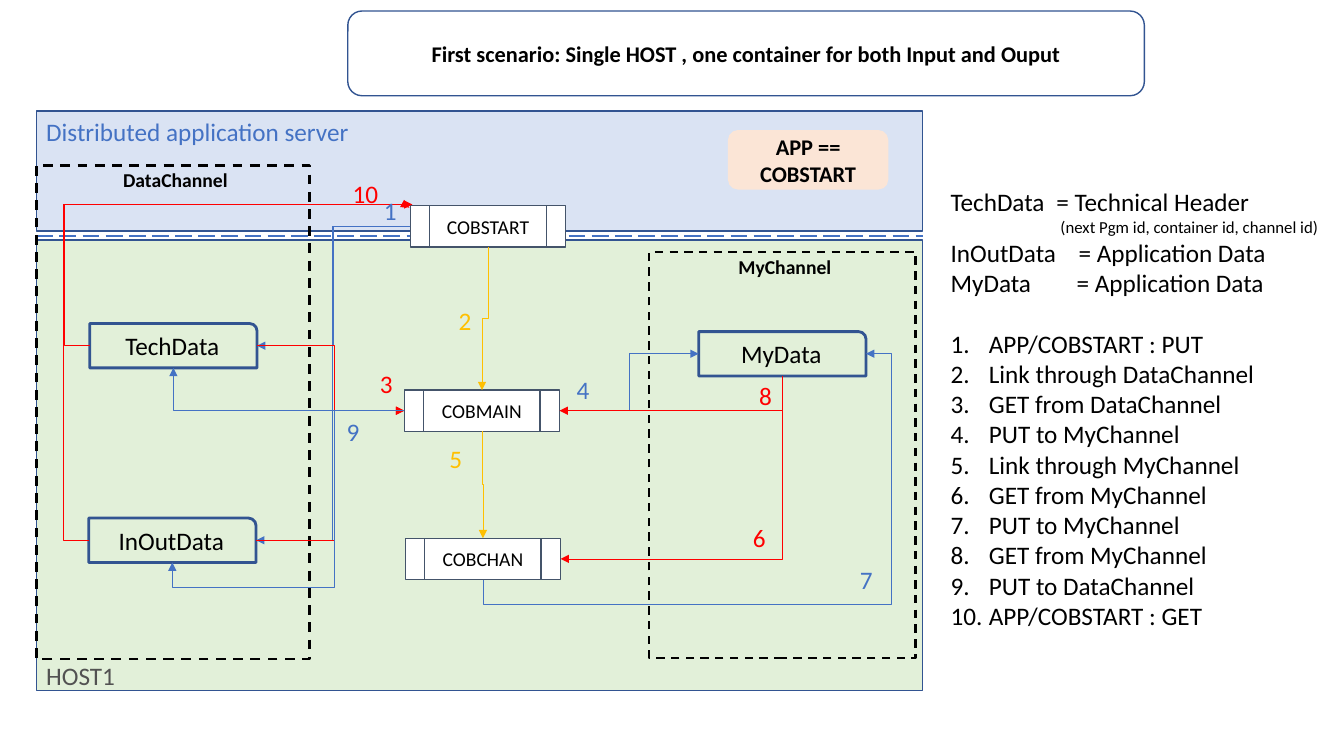
from lxml.etree import SubElement
from pptx import Presentation
from pptx.dml.color import RGBColor
from pptx.enum.dml import MSO_LINE
from pptx.enum.shapes import MSO_CONNECTOR, MSO_SHAPE
from pptx.enum.text import MSO_ANCHOR, PP_ALIGN
from pptx.oxml.ns import qn
from pptx.util import Pt

EMU_PER_PX = 9144
BLUE, RED, GOLD = "4472C4", "FF0000", "FFC000"
NAVY, SLATE, BLACK = "325491", "44546A", "000000"
TOP, LEFT, BOTTOM, RIGHT = range(4)


def px(length):
    return round(length * EMU_PER_PX)


def color(value):
    return RGBColor.from_string(value)


def add_span(para, text, size, ink=BLACK, bold=False):
    span = para.add_run()
    span.text = text
    span.font.name = "Calibri"
    span.font.size = Pt(size)
    span.font.bold = bold
    span.font.color.rgb = color(ink)


def add_panel(page, kind, box, fill=None, line=None, width=1, dash=None):
    panel = page.shapes.add_shape(kind, *map(px, box))
    panel.shadow.inherit = False
    if fill:
        panel.fill.solid()
        panel.fill.fore_color.rgb = color(fill)
    else:
        panel.fill.background()
    if line:
        panel.line.color.rgb = color(line)
        panel.line.width = Pt(width)
        panel.line.dash_style = dash
    else:
        panel.line.fill.background()
    return panel


def write(panel, lines, size, ink=BLACK, bold=False,
          align=PP_ALIGN.CENTER, anchor=MSO_ANCHOR.MIDDLE):
    frame = panel.text_frame
    frame.word_wrap = True
    frame.vertical_anchor = anchor
    for index, text in enumerate(lines):
        para = frame.add_paragraph() if index else frame.paragraphs[0]
        para.alignment = align
        add_span(para, text, size, ink, bold)


def draw_title(page, box):
    title = add_panel(page, MSO_SHAPE.ROUNDED_RECTANGLE, box, line=NAVY)
    write(title, ["First scenario: Single HOST , one container for both Input and Ouput"],
          16, bold=True)


def draw_zones(page, box):
    x, y, w, h = box
    host = add_panel(page, MSO_SHAPE.RECTANGLE, (x, y + 128, w, h - 128), "E2F0D9", NAVY)
    host.text_frame.margin_bottom = 0
    write(host, ["HOST1"], 18, "525252", align=PP_ALIGN.LEFT, anchor=MSO_ANCHOR.BOTTOM)
    server = add_panel(page, MSO_SHAPE.RECTANGLE, (x, y, w, 119), "DAE3F3", NAVY)
    write(server, ["Distributed application server"], 18, BLUE,
          align=PP_ALIGN.LEFT, anchor=MSO_ANCHOR.TOP)
    badge = add_panel(page, MSO_SHAPE.ROUNDED_RECTANGLE, (x + 686, y + 19, 159, 59), "FBE5D6")
    write(badge, ["APP ==", "COBSTART"], 16, bold=True)
    border = add_link(page, MSO_CONNECTOR.STRAIGHT, (x, y + 124), (x + w, y + 124), BLUE, 1.5)
    border.line.dash_style = MSO_LINE.LONG_DASH


def draw_channel(page, box, name, width, containers):
    x, y, w, h = box
    channel = add_panel(page, MSO_SHAPE.RECTANGLE, box, line=BLACK, width=width,
                        dash=MSO_LINE.DASH)
    frame = channel.text_frame
    frame.margin_left, frame.margin_top = px(5), px(3)
    frame.margin_right, frame.margin_bottom = 0, px(4)
    write(channel, [name], 14, bold=True, anchor=MSO_ANCHOR.TOP)
    nodes = {}
    for label, left, top in containers:
        nodes[label] = add_panel(page, MSO_SHAPE.ROUND_1_RECTANGLE,
                                 (x + left, y + top, 166, 44), line=NAVY, width=2)
        write(nodes[label], [label], 18)
    return nodes


def draw_programs(page, box):
    x, y, w, h = box
    nodes = {}
    for label, left, top in (("COBSTART", 371, 94), ("COBMAIN", 365, 277), ("COBCHAN", 366, 424)):
        nodes[label] = add_panel(page, MSO_SHAPE.FLOWCHART_PREDEFINED_PROCESS,
                                 (x + left, y + top, 154, 41), "FFFFFF", SLATE)
        write(nodes[label], [label], 14)
    return nodes


def add_link(page, kind, start, end, ink, width):
    link = page.shapes.add_connector(kind, *map(px, start + end))
    link.line.color.rgb = color(ink)
    link.line.width = Pt(width)
    SubElement(link._element.spPr, qn("a:effectLst"))
    return link


def site_point(node, site):
    x, y = node.left / EMU_PER_PX, node.top / EMU_PER_PX
    w, h = node.width / EMU_PER_PX, node.height / EMU_PER_PX
    return ((x + w / 2, y), (x, y + h / 2), (x + w / 2, y + h), (x + w, y + h / 2))[site]


def add_route(page, ink, source, source_site, target, target_site, end, lanes):
    start = site_point(source, source_site)
    link = add_link(page, MSO_CONNECTOR.ELBOW, start, end, ink, 0.5)
    link.begin_connect(source, source_site)
    if target:
        link.end_connect(target, target_site)
    upright = source_site in (TOP, BOTTOM)
    first = 1 if upright else 0
    deltas = (end[0] - start[0], end[1] - start[1])
    along, across = deltas[first], deltas[1 - first]
    link.width, link.height = px(abs(along)), px(abs(across))
    link.left = px((start[0] + end[0] - abs(along)) / 2)
    link.top = px((start[1] + end[1] - abs(across)) / 2)
    frame = link._element.spPr.find(qn("a:xfrm"))
    frame.set("rot", "5400000" if upright else "0")
    frame.set("flipH", str(int(along < 0)))
    frame.set("flipV", str(int(across > 0 if upright else across < 0)))
    geometry = link._element.spPr.find(qn("a:prstGeom"))
    geometry.set("prst", f"bentConnector{len(lanes) + 2}")
    guides = geometry.find(qn("a:avLst"))
    for index, lane in enumerate(lanes):
        axis = (first + index) % 2
        share = round((lane - start[axis]) / deltas[axis] * 100000)
        SubElement(guides, qn("a:gd"), name=f"adj{index + 1}", fmla=f"val {share}")
    outline = link._element.spPr.find(qn("a:ln"))
    SubElement(outline, qn("a:tailEnd"), type="triangle")


def draw_routes(page, box, nodes):
    origin = box[:2]
    routes = (
        (BLUE, "COBSTART", LEFT, "TechData", RIGHT, (295,)),
        (BLUE, "COBSTART", LEFT, "InOutData", RIGHT, (294,)),
        (GOLD, "COBSTART", BOTTOM, "COBMAIN", TOP, (206,)),
        (RED, "TechData", RIGHT, "COBMAIN", LEFT, (296,)),
        (RED, "InOutData", RIGHT, "COBMAIN", LEFT, (296,)),
        (BLUE, "COBMAIN", RIGHT, "MyData", LEFT, (588,)),
        (GOLD, "COBMAIN", BOTTOM, "COBCHAN", TOP, (371,)),
        (RED, "MyData", BOTTOM, "COBCHAN", RIGHT, ()),
        (BLUE, "COBCHAN", BOTTOM, "MyData", RIGHT, (490, 848)),
        (RED, "MyData", BOTTOM, "COBMAIN", RIGHT, ()),
        (BLUE, "COBMAIN", LEFT, "InOutData", BOTTOM, (296, 473)),
        (BLUE, "COBMAIN", LEFT, "TechData", BOTTOM, ()),
        (RED, "InOutData", LEFT, None, (370, 96), (27, 93)),
        (RED, "TechData", LEFT, None, (373, 93), (28,)),
    )
    for ink, source, source_site, target, goal, lanes in routes:
        first = 1 if source_site in (TOP, BOTTOM) else 0
        placed = [lane + origin[(first + index) % 2] for index, lane in enumerate(lanes)]
        if target:
            end = site_point(nodes[target], goal)
        else:
            end = (goal[0] + origin[0], goal[1] + origin[1])
        add_route(page, ink, nodes[source], source_site, nodes.get(target), goal, end, placed)


def draw_step_numbers(page, box):
    steps = ((335, 79, BLUE), (409, 188, GOLD), (331, 251, RED), (526, 256, BLUE),
             (400, 325, GOLD), (701, 403, RED), (807, 445, BLUE), (707, 262, RED),
             (298, 298, BLUE), (304, 62, RED))
    for number, (left, top, ink) in enumerate(steps, 1):
        width = 33 if number < 10 else 46
        mark = page.shapes.add_textbox(px(box[0] + left), px(box[1] + top), px(width), px(40))
        mark.text_frame.word_wrap = False
        add_span(mark.text_frame.paragraphs[0], str(number), 18, ink)


def draw_legend(page, box):
    frame = page.shapes.add_textbox(*map(px, box)).text_frame
    frame.word_wrap = True
    terms = (("TechData\t= Technical Header", 105, 18),
             ("(next Pgm id, container id, channel id)", 0, 12),
             ("InOutData\t= Application Data", 127, 18),
             ("MyData\t= Application Data", 125, 18))
    for index, (text, stop, size) in enumerate(terms):
        para = frame.add_paragraph() if index else frame.paragraphs[0]
        properties = para._p.get_or_add_pPr()
        if stop:
            tabs = SubElement(properties, qn("a:tabLst"))
            SubElement(tabs, qn("a:tab"), pos=str(px(stop)), algn="l")
        else:
            properties.set("marL", str(px(109)))
        add_span(para, text, size)
    steps = ("APP/COBSTART : PUT", "Link through DataChannel", "GET from DataChannel",
             "PUT to MyChannel", "Link through MyChannel", "GET from MyChannel",
             "PUT to MyChannel", "GET from MyChannel", "PUT to DataChannel",
             "APP/COBSTART : GET")
    for index, text in enumerate(steps):
        para = frame.add_paragraph()
        properties = para._p.get_or_add_pPr()
        properties.set("marL", str(px(38)))
        properties.set("indent", str(px(-38)))
        SubElement(properties, qn("a:buAutoNum"), type="arabicPeriod")
        if index == 0:
            para.space_before = Pt(22)
        add_span(para, text, 18)


def main():
    deck = Presentation()
    deck.slide_width, deck.slide_height = px(1333), px(750)
    page = deck.slides.add_slide(deck.slide_layouts[6])
    diagram = (36, 110, 879, 575)
    draw_title(page, (345, 11, 790, 84))
    draw_zones(page, diagram)
    nodes = draw_channel(page, (36, 164, 271, 490), "DataChannel", 1.75,
                         (("TechData", 53, 157), ("InOutData", 52, 350)))
    nodes |= draw_channel(page, (644, 250, 264, 403), "MyChannel", 1.5, (("MyData", 49, 79),))
    nodes |= draw_programs(page, diagram)
    draw_routes(page, diagram, nodes)
    draw_step_numbers(page, diagram)
    draw_legend(page, (933, 180, 394, 515))
    deck.save("out.pptx")


if __name__ == "__main__":
    main()
